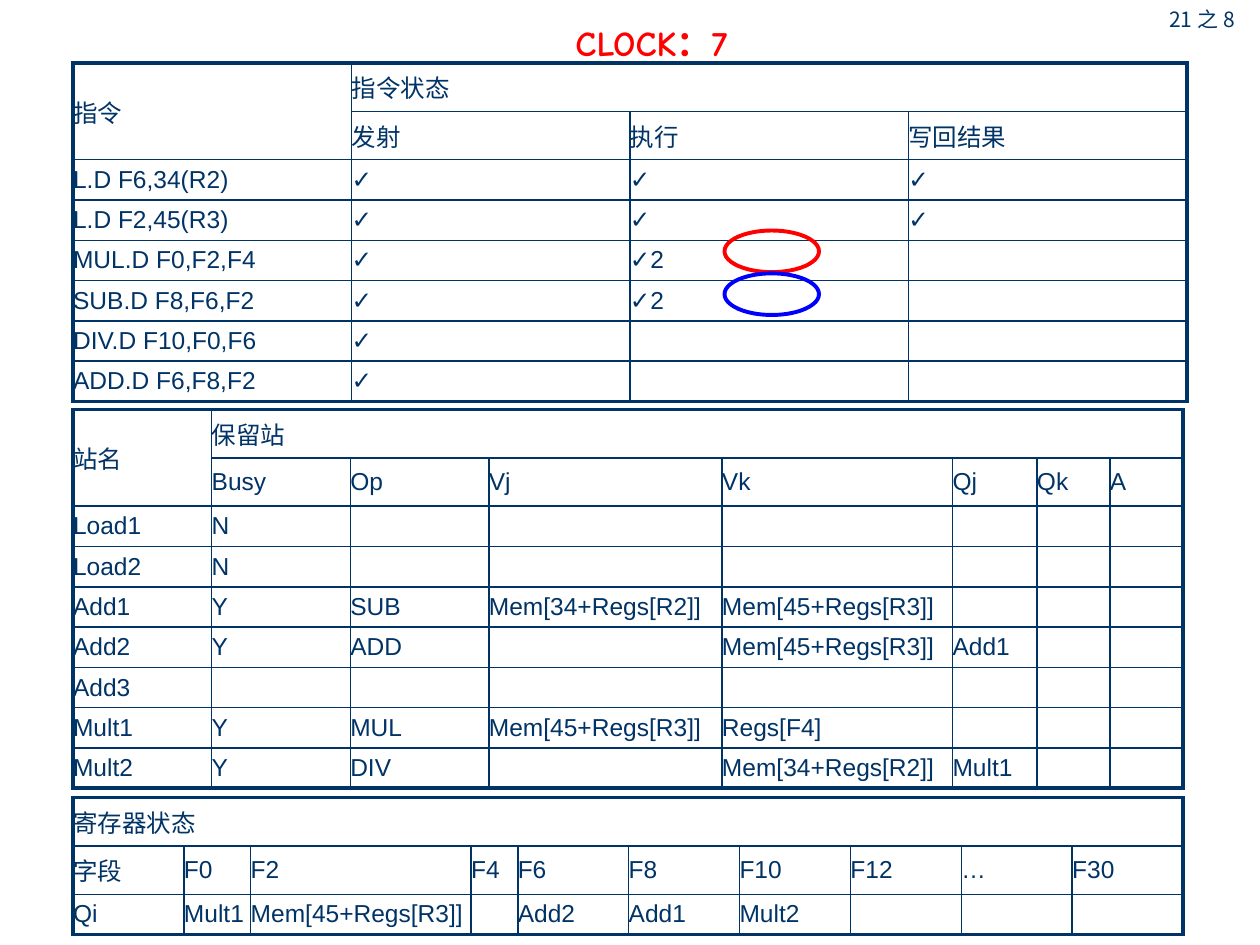
import pptx
import pptx.dml.color
import pptx.enum.shapes
import pptx.enum.text
import pptx.util
from lxml import etree
from pptx.util import Inches, Pt

COLORS = {"navy": "003366", "red": "FF0000", "blue": "0000FF"}
THIN, THICK = 1, 2.25
TEXT_SIZE = 14
TALL, SHORT = 0.38, 0.32  # heading rows and body rows
LEFT = 0.58
NO_GRID_STYLE = "{2D5ABB26-0587-4C30-8999-92F81FD0307C}"

# Content: merges are (first row, first column, last row, last column)
TABLES = [
    {
        "top": 0.5,
        "widths": [2.21] * 4,
        "heading_rows": 2,
        "merges": [(0, 0, 1, 0), (0, 1, 0, 3)],
        "rows": [
            ["指令", "指令状态"],
            ["", "发射", "执行", "写回结果"],
            ["L.D F6,34(R2)", "✓", "✓", "✓"],
            ["L.D F2,45(R3)", "✓", "✓", "✓"],
            ["MUL.D F0,F2,F4", "✓", "✓2"],
            ["SUB.D F8,F6,F2", "✓", "✓2"],
            ["DIV.D F10,F0,F6", "✓"],
            ["ADD.D F6,F8,F2", "✓"],
        ],
    },
    {
        "top": 3.25,
        "widths": [1.1, 1.1, 1.1, 1.85, 1.83, 0.67, 0.58, 0.58],
        "heading_rows": 2,
        "merges": [(0, 0, 1, 0), (0, 1, 0, 7)],
        "rows": [
            ["站名", "保留站"],
            ["", "Busy", "Op", "Vj", "Vk", "Qj", "Qk", "A"],
            ["Load1", "N"],
            ["Load2", "N"],
            ["Add1", "Y", "SUB", "Mem[34+Regs[R2]]", "Mem[45+Regs[R3]]"],
            ["Add2", "Y", "ADD", "", "Mem[45+Regs[R3]]", "Add1"],
            ["Add3"],
            ["Mult1", "Y", "MUL", "Mem[45+Regs[R3]]", "Regs[F4]"],
            ["Mult2", "Y", "DIV", "", "Mem[34+Regs[R2]]", "Mult1"],
        ],
    },
    {
        "top": 6.33,
        "widths": [0.88, 0.53, 1.75, 0.37] + [0.88] * 6,
        "heading_rows": 2,
        "merges": [(0, 0, 0, 9)],
        "rows": [
            ["寄存器状态"],
            ["字段", "F0", "F2", "F4", "F6", "F8", "F10", "F12", "…", "F30"],
            ["Qi", "Mult1", "Mem[45+Regs[R3]]", "", "Add2", "Add1", "Mult2"],
        ],
    },
]
MARKERS = [(1.83, "red"), (2.17, "blue")]  # top, colour


def color(name):
    return pptx.dml.color.RGBColor.from_string(COLORS[name])


def style_text(para, size, font_name, color_name, bold=False):
    para.font.size = Pt(size)
    para.font.name = font_name
    para.font.bold = bold
    para.font.color.rgb = color(color_name)


def add_border(cell, side, width):
    namespace = pptx.oxml.ns.qn
    line = etree.SubElement(cell._tc.get_or_add_tcPr(), namespace(f"a:ln{side}"),
                            w=str(Pt(width)))
    fill = etree.SubElement(line, namespace("a:solidFill"))
    etree.SubElement(fill, namespace("a:srgbClr"), val=COLORS["navy"])


def fill_cell(cell, text):
    cell.margin_left = cell.margin_right = 0
    cell.margin_top = cell.margin_bottom = Inches(0.05)
    cell.vertical_anchor = pptx.enum.text.MSO_ANCHOR.MIDDLE
    para = cell.text_frame.paragraphs[0]
    if text:
        para.text = text
    style_text(para, TEXT_SIZE, "Arial", "navy")
    if not text:  # keeps an empty cell from stretching its row
        etree.SubElement(para._p, pptx.oxml.ns.qn("a:endParaRPr"), sz=str(TEXT_SIZE * 100))


def add_grid(page, content):
    rows, widths = content["rows"], content["widths"]
    heights = [TALL if number < content["heading_rows"] else SHORT
               for number in range(len(rows))]
    frame = page.shapes.add_table(len(rows), len(widths), Inches(LEFT),
                                  Inches(content["top"]), Inches(sum(widths)),
                                  Inches(sum(heights)))
    table = frame.table
    table.first_row = table.horz_banding = False
    table._tbl.tblPr.find(pptx.oxml.ns.qn("a:tableStyleId")).text = NO_GRID_STYLE
    for column, width in zip(table.columns, widths):
        column.width = Inches(width)
    for row, height in zip(table.rows, heights):
        row.height = Inches(height)
    for top, left, bottom, right in content["merges"]:
        table.cell(top, left).merge(table.cell(bottom, right))

    for r, texts in enumerate(rows):
        for c in range(len(widths)):
            cell = table.cell(r, c)
            fill_cell(cell, texts[c] if c < len(texts) else "")
            if not cell.is_spanned:
                down = cell.span_height if cell.is_merge_origin else 1
                across = cell.span_width if cell.is_merge_origin else 1
                outer = {"L": c == 0, "R": c + across == len(widths),
                         "T": r == 0, "B": r + down == len(rows)}
                for side, is_outer in outer.items():
                    add_border(cell, side, THICK if is_outer else THIN)
            cell.fill.background()


def add_label(page, text, left, top, width, height):
    frame = page.shapes.add_textbox(Inches(left), Inches(top), Inches(width),
                                    Inches(height)).text_frame
    para = frame.paragraphs[0]
    para.text = text
    para.alignment = pptx.enum.text.PP_ALIGN.CENTER
    return frame, para


def main():
    deck = pptx.Presentation()
    deck.slide_width, deck.slide_height = Inches(10), Inches(7.5)
    page = deck.slides.add_slide(deck.slide_layouts[6])

    for content in TABLES:
        add_grid(page, content)

    # Clock heading
    frame, para = add_label(page, "CLOCK：7", 4.17, 0.17, 2, 0.33)
    frame.word_wrap = False
    frame.vertical_anchor = pptx.enum.text.MSO_ANCHOR.MIDDLE
    style_text(para, 20, "Comic Neue", "red", bold=True)

    # Rings beside the running instructions
    for top, color_name in MARKERS:
        ring = page.shapes.add_shape(pptx.enum.shapes.MSO_SHAPE.OVAL, Inches(5.75),
                                     Inches(top), Inches(0.75), Inches(0.33))
        ring.shadow.inherit = False
        ring.fill.background()
        ring.line.color.rgb = color(color_name)
        ring.line.width = Pt(THICK)

    # Page number
    frame, para = add_label(page, "21 之 8", 9.08, 0, 0.92, 0.3)
    frame.word_wrap = True
    style_text(para, 12, "Noto Sans CJK SC", "navy")

    deck.save("out.pptx")


if __name__ == "__main__":
    main()
